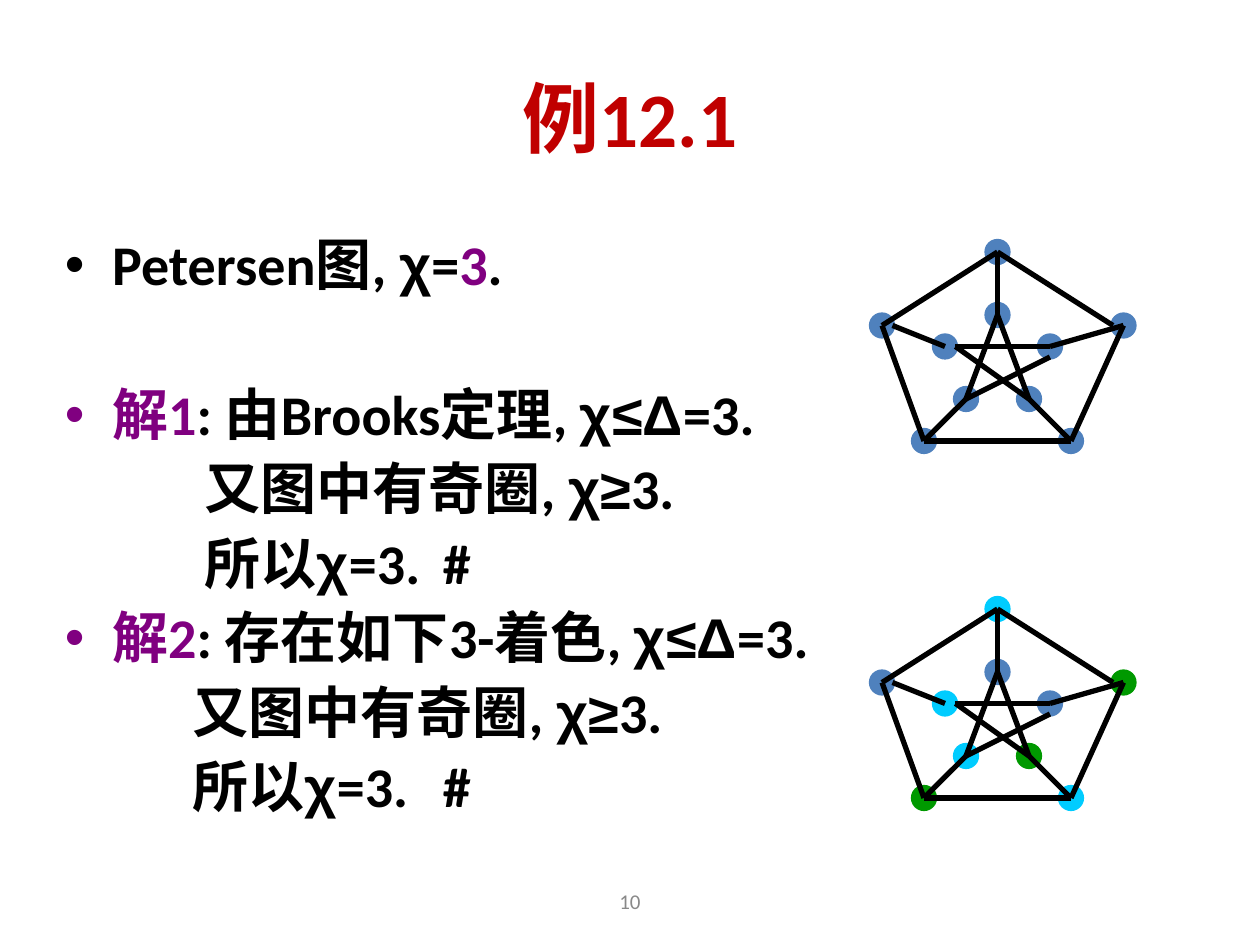
import pptx
import pptx.util
import pptx.dml.color
import pptx.enum.shapes
import pptx.enum.text
import pptx.oxml
import pptx.oxml.ns
import lxml.etree

RGB = pptx.dml.color.RGBColor
BLACK = RGB(0x00, 0x00, 0x00)
RED = RGB(0xC0, 0x00, 0x00)
PLUM = RGB(0x80, 0x00, 0x80)
GREY = RGB(0x89, 0x89, 0x89)
BLUE = RGB(0x4F, 0x81, 0xBD)
CYAN = RGB(0x00, 0xCC, 0xFF)
GREEN = RGB(0x00, 0x99, 0x00)

CELL = pptx.util.Inches(1) // 12
COLS, ROWS = 120, 90
MID = pptx.enum.text.MSO_ANCHOR.MIDDLE
MID_ALIGN = pptx.enum.text.PP_ALIGN.CENTER


class Deck:
    font = "Calibri"
    greek = "Arial"
    stroke = pptx.util.Pt(3)

    def __init__(self):
        self.file = pptx.Presentation()
        self.file.slide_width = COLS * CELL
        self.file.slide_height = ROWS * CELL
        self.slide = self.file.slides.add_slide(self.file.slide_layouts[5])

    def place(self, shape, col, row, wide, high):
        shape.left, shape.top = round(col * CELL), round(row * CELL)
        shape.width, shape.height = round(wide * CELL), round(high * CELL)

    def run(self, para, text, size, color, bold=True):
        run = para.add_run()
        run.text = text
        run.font.name = self.greek if text.startswith("χ") else self.font
        run.font.size = pptx.util.Pt(size)
        run.font.bold = bold
        run.font.color.rgb = color

    def title(self, text, *area):
        shape = self.slide.shapes.title
        self.place(shape, *area)
        frame = shape.text_frame
        frame.vertical_anchor = MID
        para = frame.paragraphs[0]
        para.alignment = MID_ALIGN
        self.run(para, text, 44, RED)

    def box(self, *area):
        shape = self.slide.shapes.add_textbox(0, 0, CELL, CELL)
        self.place(shape, *area)
        shape.text_frame.word_wrap = True
        return shape.text_frame

    def number(self, text, *area):
        frame = self.box(*area)
        frame.vertical_anchor = MID
        para = frame.paragraphs[0]
        para.alignment = MID_ALIGN
        self.run(para, text, 12, GREY, False)

    def tag(self, root, name, **attrs):
        node = lxml.etree.SubElement(root, pptx.oxml.ns.qn(name))
        for key, value in attrs.items():
            node.set(key, str(value))
        return node

    def bullet(self, para, color):
        props = para._p.get_or_add_pPr()
        hang = round(4.5 * CELL)
        props.set("marL", str(hang))
        props.set("indent", str(-hang))
        self.tag(self.tag(props, "a:buClr"), "a:srgbClr", val=color)
        self.tag(props, "a:buFont", typeface="Arial")
        self.tag(props, "a:buChar", char="•")

    def inset(self, para, start, stop):
        props = para._p.get_or_add_pPr()
        props.set("marL", "0")
        props.set("indent", str(round(start * CELL)))
        self.tag(props, "a:buNone")
        tabs = self.tag(props, "a:tabLst")
        self.tag(tabs, "a:tab", pos=round(stop * CELL), algn="l")

    def body(self, lines, *area):
        frame = self.box(*area)
        for spot, (mark, gap, runs) in enumerate(lines):
            para = frame.add_paragraph() if spot else frame.paragraphs[0]
            if isinstance(mark, RGB):
                self.bullet(para, mark)
            else:
                self.inset(para, *mark)
            para.line_spacing = 0.9
            para.space_before = pptx.util.Pt(gap)
            for text, color in runs:
                self.run(para, text, 32, color)

    def dot(self, group, col, row, color):
        oval = pptx.enum.shapes.MSO_SHAPE.OVAL
        shape = group.shapes.add_shape(oval, 0, 0, CELL, CELL)
        self.place(shape, col - 1, row - 1, 2, 2)
        shape.shadow.inherit = False
        shape.fill.solid()
        shape.fill.fore_color.rgb = color
        shape.line.color.rgb = color
        shape.line.width = self.stroke

    def edge(self, group, *ends):
        kind = pptx.enum.shapes.MSO_CONNECTOR.STRAIGHT
        line = group.shapes.add_connector(kind, *(end * CELL for end in ends))
        line.line.color.rgb = BLACK
        line.line.width = self.stroke
        self.tag(line._element.spPr, "a:effectLst")

    def graph(self, col, row, colors):
        group = self.slide.shapes.add_group_shape()
        for (x, y), color in zip(NODES, colors):
            self.dot(group, col + x, row + y, color)
        for (x, y), (u, v) in EDGES:
            self.edge(group, col + x, row + y, col + u, row + v)


NODES = TOP, EAST, SOUTHEAST, SOUTHWEST, WEST, TIP, RIGHT, LOWRIGHT, LOWLEFT, LEFT = [
    (0, 0), (12, 7), (7, 18), (-7, 18), (-11, 7),
    (0, 6), (5, 9), (3, 14), (-3, 14), (-5, 9),
]
LEFT_RIM, RIGHT_RIM, WEST_RIM, EAST_RIM = (-4, 9), (5, 10), (-10, 7), (11, 7)
EDGES = [
    (LEFT_RIM, RIGHT), (RIGHT_RIM, LOWLEFT), (LOWLEFT, TIP),
    (TIP, LOWRIGHT), (LOWRIGHT, LEFT_RIM),
    (TIP, TOP), (RIGHT, EAST), (LOWRIGHT, SOUTHEAST),
    (LOWLEFT, SOUTHWEST), (LEFT, WEST_RIM),
    (TOP, EAST_RIM), (EAST, SOUTHEAST), (SOUTHEAST, SOUTHWEST),
    (SOUTHWEST, WEST), (WEST, TOP),
]
PLAIN = [BLUE] * len(NODES)
TINTS = [CYAN, GREEN, CYAN, GREEN, BLUE, BLUE, BLUE, GREEN, CYAN, CYAN]


def proof(name, claim, gap, start):
    stops = (start, start + 32.7)
    return [
        (PLUM, gap, [(name, PLUM), (claim, BLACK), ("χ≤Δ", BLACK), ("=3.", BLACK)]),
        (stops, 8, [("又图中有奇圈, ", BLACK), ("χ≥", BLACK), ("3.", BLACK)]),
        (stops, 8, [("所以", BLACK), ("χ", BLACK), ("=3.\t#", BLACK)]),
    ]


def main():
    deck = Deck()
    deck.number("10", 41, 83.4, 38, 4.8)
    deck.title("例12.1", 6, 3.6, 108, 15)
    first = [("Petersen图, ", BLACK), ("χ", BLACK), ("=", BLACK),
             ("3", PLUM), (".", BLACK)]
    lines = [(BLACK, 0, first)]
    lines += proof("解1", ": 由Brooks定理, ", 51, 13.3)
    lines += proof("解2", ": 存在如下3-着色, ", 8, 12.15)
    deck.body(lines, 5, 22, 111, 59)
    deck.graph(95, 24, PLAIN)
    deck.graph(95, 58, TINTS)
    deck.file.save("out.pptx")


if __name__ == "__main__":
    main()
